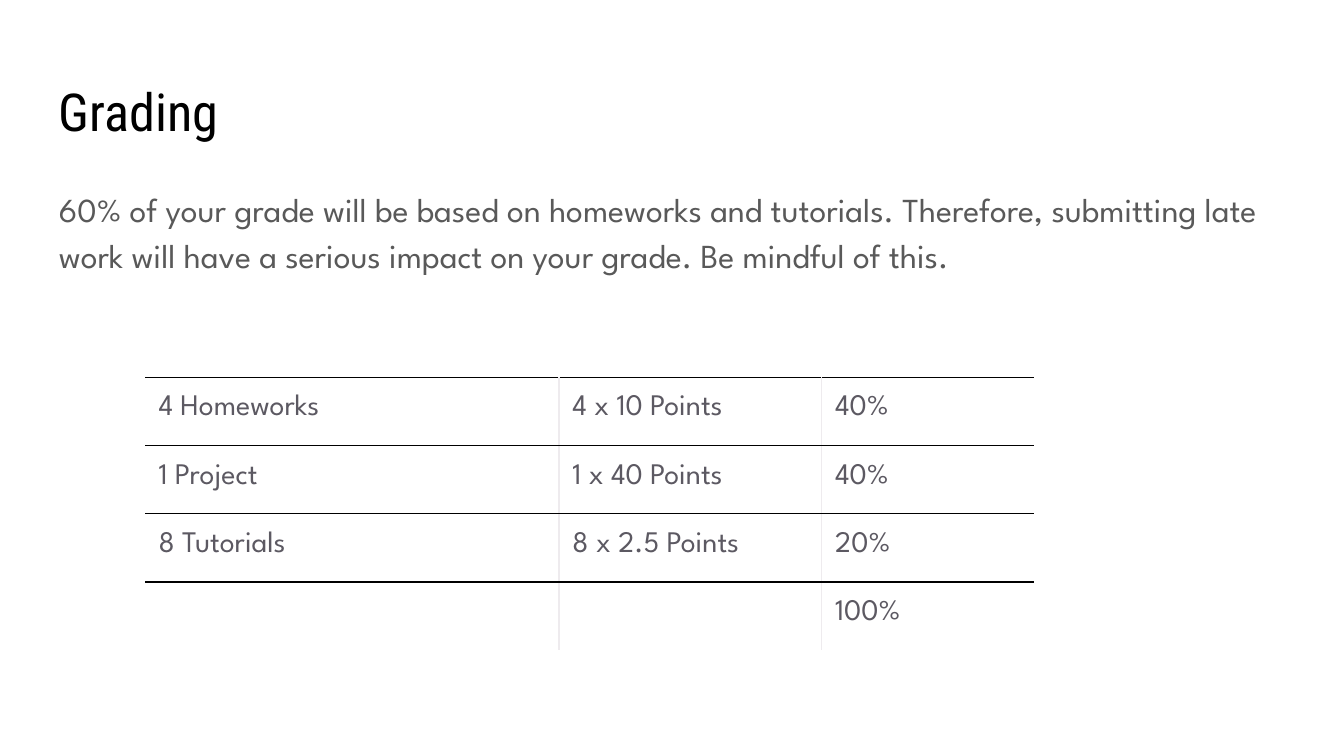
from lxml.etree import SubElement
from pptx import Presentation
from pptx.dml.color import RGBColor
from pptx.enum.text import MSO_ANCHOR
from pptx.oxml.ns import qn
from pptx.util import Pt

COLORS = {
    "title": "000000",
    "body": "595959",
    "cell_text": "5C5962",
    "cell_fill": "FFFFFF",
    "row_rule": "000000",
    "column_rule": "EEEBEE",
}
BODY_FONT = "League Spartan"
INSET = Pt(7.2)
GRADES = [
    ("4 Homeworks", "4 x 10 Points", "40%"),
    ("1 Project", "1 x 40 Points", "40%"),
    ("8 Tutorials", "8 x 2.5 Points", "20%"),
    ("", "", "100%"),
]
COLUMN_WIDTHS = (221.75, 140.75, 113.5)
ROW_HEIGHT = 28.8


def write_text(frame, text, *, size, color, font=BODY_FONT, line_spacing=None, space_after=None):
    """Fill a text frame with one formatted paragraph."""
    paragraph = frame.paragraphs[0]
    paragraph.line_spacing = line_spacing
    if space_after is not None:
        paragraph.space_after = Pt(space_after)
    if not text:
        end_format = SubElement(paragraph._p, qn("a:endParaRPr"), sz=str(size * 100))
        SubElement(end_format, qn("a:latin"), typeface=font)
        return
    run = paragraph.add_run()
    run.text = text
    run.font.size = Pt(size)
    run.font.name = font
    run.font.color.rgb = RGBColor.from_string(COLORS[color])


def add_text(slide, left, top, width, height, text, **text_format):
    """Add a wrapping text box with top-anchored text."""
    frame = slide.shapes.add_textbox(Pt(left), Pt(top), Pt(width), Pt(height)).text_frame
    frame.word_wrap = True
    frame.vertical_anchor = MSO_ANCHOR.TOP
    frame.margin_left = frame.margin_right = frame.margin_top = frame.margin_bottom = INSET
    write_text(frame, text, **text_format)


def set_borders(cell, rules):
    """Draw the named cell sides, leaving sides without a colour unlined."""
    properties = cell._tc.get_or_add_tcPr()
    for position, (side, color) in enumerate(rules.items()):
        line = SubElement(properties, qn(f"a:ln{side}"), w=str(Pt(0.75)))
        properties.insert(position, line)
        if color is None:
            SubElement(line, qn("a:noFill"))
        else:
            fill = SubElement(line, qn("a:solidFill"))
            SubElement(fill, qn("a:srgbClr"), val=COLORS[color])


def add_grade_table(slide, left, top):
    """Add the grading table with ruled rows and faint column rules."""
    last_row, last_column = len(GRADES) - 1, len(COLUMN_WIDTHS) - 1
    table = slide.shapes.add_table(
        len(GRADES), len(COLUMN_WIDTHS), Pt(left), Pt(top),
        Pt(sum(COLUMN_WIDTHS)), Pt(ROW_HEIGHT * len(GRADES)),
    ).table
    table.first_row = table.horz_banding = False
    for column, width in zip(table.columns, COLUMN_WIDTHS):
        column.width = Pt(width)
    for row_index, grade in enumerate(GRADES):
        table.rows[row_index].height = Pt(ROW_HEIGHT)
        for column_index, text in enumerate(grade):
            cell = table.cell(row_index, column_index)
            cell.margin_left = cell.margin_right = cell.margin_top = cell.margin_bottom = INSET
            cell.fill.solid()
            cell.fill.fore_color.rgb = RGBColor.from_string(COLORS["cell_fill"])
            set_borders(cell, {
                "L": "column_rule" if column_index > 0 else None,
                "R": "column_rule" if column_index < last_column else None,
                "T": "row_rule",
                "B": "row_rule" if row_index < last_row else None,
            })
            write_text(cell.text_frame, text, size=16, color="cell_text", line_spacing=1.15)


def main():
    """Build the grading slide."""
    presentation = Presentation()
    presentation.slide_width, presentation.slide_height = Pt(720), Pt(405)
    slide = presentation.slides.add_slide(presentation.slide_layouts[6])
    add_text(slide, 24.5, 35.3, 671, 45.4, "Grading",
             size=28, color="title", font="Roboto Condensed")
    add_text(slide, 24.5, 90.7, 671, 86.4,
             "60% of your grade will be based on homeworks and tutorials. Therefore, "
             "submitting late work will have a serious impact on your grade. Be mindful of this.",
             size=18, color="body", line_spacing=1.15, space_after=16)
    add_grade_table(slide, 77.75, 202.3)
    presentation.save("out.pptx")


if __name__ == "__main__":
    main()
